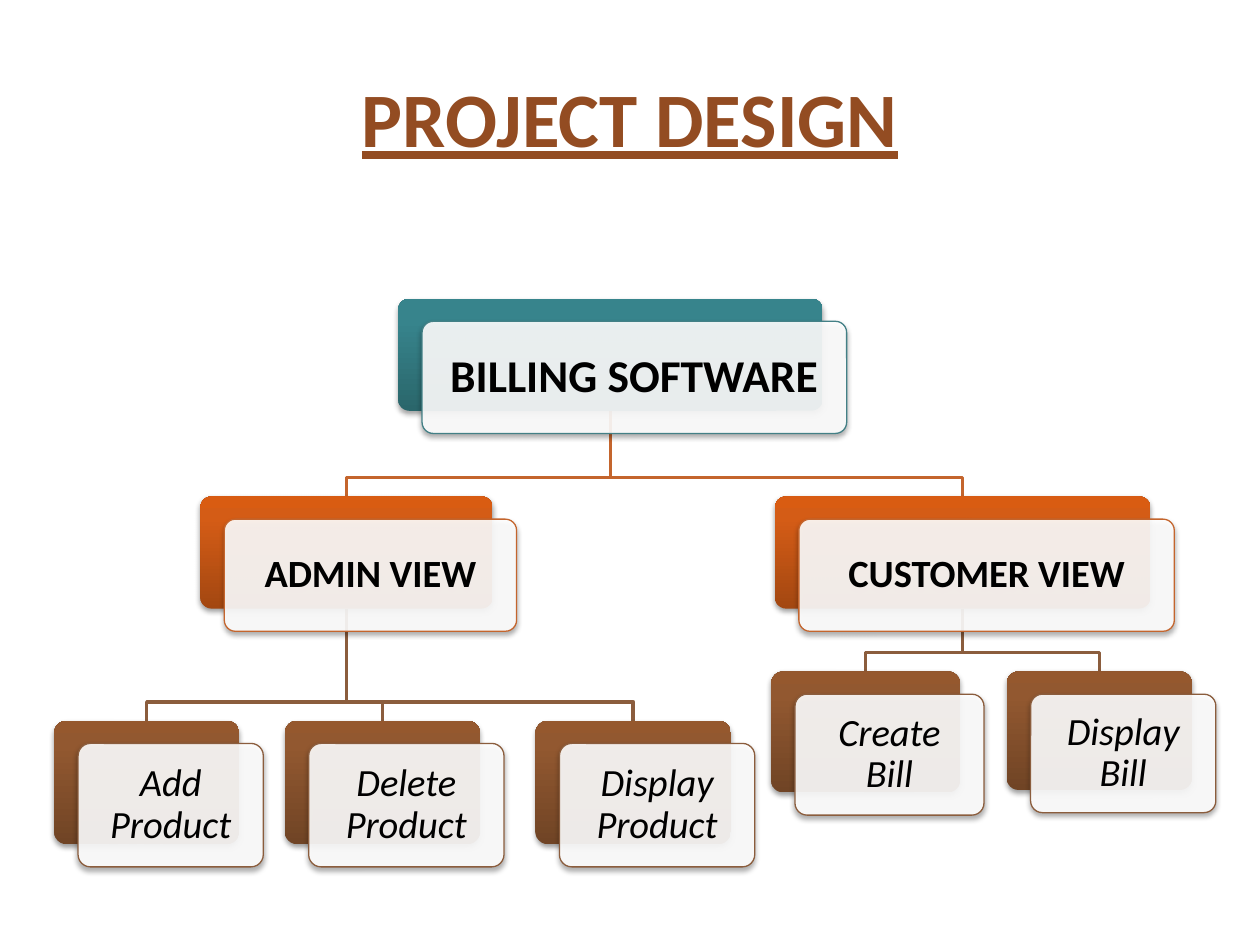
import copy
from collections import namedtuple

import pptx
import pptx.dml.color
import pptx.enum.shapes
import pptx.enum.text
import pptx.oxml
import pptx.oxml.ns
import pptx.util
from lxml import etree

Inches, Pt = pptx.util.Inches, pptx.util.Pt
qn = pptx.oxml.ns.qn
ALIGN = pptx.enum.text.PP_ALIGN
MIDDLE = pptx.enum.text.MSO_ANCHOR.MIDDLE
ROUNDED = pptx.enum.shapes.MSO_SHAPE.ROUNDED_RECTANGLE

COLORS = {
    "title": "934C22", "text": "000000", "card": "FFFFFF", "shadow": "000000",
    "root_line": "438086", "view_line": "C4652D", "action_line": "8B5D3D",
    "root_dark": "2A666B", "root_mid": "37848C", "root_light": "36868E",
    "view_dark": "A34711", "view_mid": "D45C16", "view_light": "D95C12",
    "action_dark": "704425", "action_mid": "925830", "action_light": "95582E",
}
FONT = "Calibri"
OFFSET_X, OFFSET_Y = 0.19, 0.18  # front card relative to back card
ELBOW = 0.15                     # height of the last leg of a connector

Level = namedtuple("Level", "name size bold inset shadow_alpha shadow_dist")
ROOT = Level("root", 26, True, 0.13, 35, 1.8)
VIEW = Level("view", 22, True, 0.12, 38, 1.6)
ACTION = Level("action", 22, False, 0.12, 38, 1.6)

# Boxes are left, top, width, height of the back card, in inches
Node = namedtuple("Node", "text level box children", defaults=[()])
TREE = Node("BILLING SOFTWARE", ROOT, (3.16, 2.37, 3.37, 0.89), (
    Node("ADMIN VIEW", VIEW, (1.59, 3.94, 2.32, 0.89), (
        Node("Add Product", ACTION, (0.43, 5.72, 1.47, 0.98)),
        Node("Delete Product", ACTION, (2.26, 5.72, 1.55, 0.98)),
        Node("Display Product", ACTION, (4.25, 5.72, 1.55, 0.98)),
    )),
    Node("CUSTOMER VIEW", VIEW, (6.15, 3.94, 2.98, 0.89), (
        Node("Create Bill", ACTION, (6.12, 5.33, 1.5, 0.96)),
        Node("Display Bill", ACTION, (7.99, 5.33, 1.47, 0.94)),
    )),
))


def rgb(name):
    return pptx.dml.color.RGBColor.from_string(COLORS[name])


def add_shadow(sp, alpha, dist):
    sp.shadow.inherit = False
    effects = sp._element.spPr.find(qn("a:effectLst"))
    shadow = etree.SubElement(effects, qn("a:outerShdw"), blurRad=str(Pt(3.1)),
                              dist=str(Pt(dist)), dir="5400000", rotWithShape="0")
    color = etree.SubElement(shadow, qn("a:srgbClr"), val=COLORS["shadow"])
    etree.SubElement(color, qn("a:alpha"), val=str(alpha * 1000))


def fill_gradient(sp, level):
    """Shade from dark at the bottom to light at the top."""
    sp.fill.gradient()
    sp.fill.gradient_angle = 90
    stops = sp._element.spPr.find(qn("a:gradFill")).find(qn("a:gsLst"))
    stops.append(copy.deepcopy(stops[-1]))
    shades = (("dark", 0), ("mid", 0.8), ("light", 1))
    for stop, (shade, position) in zip(sp.fill.gradient_stops, shades):
        stop.position = position
        stop.color.rgb = rgb(f"{level.name}_{shade}")


def add_card(slide, box):
    sp = slide.shapes.add_shape(ROUNDED, *map(Inches, box))
    sp.adjustments[0] = 0.1
    return sp


def write_text(sp, text, size, color, inset):
    """Write one centred paragraph and return it."""
    tf = sp.text_frame
    tf.word_wrap = True
    tf.vertical_anchor = MIDDLE
    tf.margin_left = tf.margin_right = Inches(inset)
    tf.margin_top = tf.margin_bottom = Inches(inset)
    p = tf.paragraphs[0]
    p.text = text
    p.alignment = ALIGN.CENTER
    p.font.name = FONT
    p.font.size = Pt(size)
    p.font.color.rgb = rgb(color)
    return p


def add_title(slide, box):
    sp = slide.shapes.add_textbox(*map(Inches, box))
    p = write_text(sp, "PROJECT DESIGN", 44, "title", 0.05)
    p.font.bold = p.font.underline = True


def add_node(slide, node):
    """Draw a shaded back card and the translucent front card with its label."""
    level = node.level
    back = add_card(slide, node.box)
    fill_gradient(back, level)
    back.line.fill.background()
    add_shadow(back, level.shadow_alpha, level.shadow_dist)

    left, top, width, height = node.box
    front = add_card(slide, (left + OFFSET_X, top + OFFSET_Y, width, height))
    front.fill.solid()
    front.fill.fore_color.rgb = rgb("card")
    color = front._element.spPr.find(qn("a:solidFill"))[0]
    etree.SubElement(color, qn("a:alpha"), val="90000")
    front.line.color.rgb = rgb(f"{level.name}_line")
    front.line.width = Pt(0.75)
    add_shadow(front, 35, 1.8)
    p = write_text(front, node.text, level.size, "text", level.inset)
    p.line_spacing = 0.9
    p.font.bold = level.bold
    p.font.italic = not level.bold


def add_elbow(slide, parent, child):
    left, top, width, height = parent.box
    x1, y1 = left + width / 2, top + height
    x2, y2 = child.box[0] + child.box[2] / 2, child.box[1]
    points = [(Inches(x), Inches(y)) for x, y in
              ((x1, y1), (x1, y2 - ELBOW), (x2, y2 - ELBOW), (x2, y2))]
    builder = slide.shapes.build_freeform(*points[0])
    builder.add_line_segments(points[1:], close=False)
    sp = builder.convert_to_shape()
    sp.fill.background()
    sp.line.color.rgb = rgb(f"{child.level.name}_line")
    sp.line.width = Pt(2)
    sp.shadow.inherit = False


def add_links(slide, node):
    for child in node.children:
        add_links(slide, child)
        add_elbow(slide, node, child)


def add_nodes(slide, node):
    add_node(slide, node)
    for child in node.children:
        add_nodes(slide, child)


def main():
    prs = pptx.Presentation()
    prs.slide_width, prs.slide_height = Inches(10), Inches(7.5)
    slide = prs.slides.add_slide(prs.slide_layouts[6])
    add_title(slide, (0.5, 0.3, 9, 1.25))
    add_links(slide, TREE)
    add_nodes(slide, TREE)
    prs.save("out.pptx")


if __name__ == "__main__":
    main()
